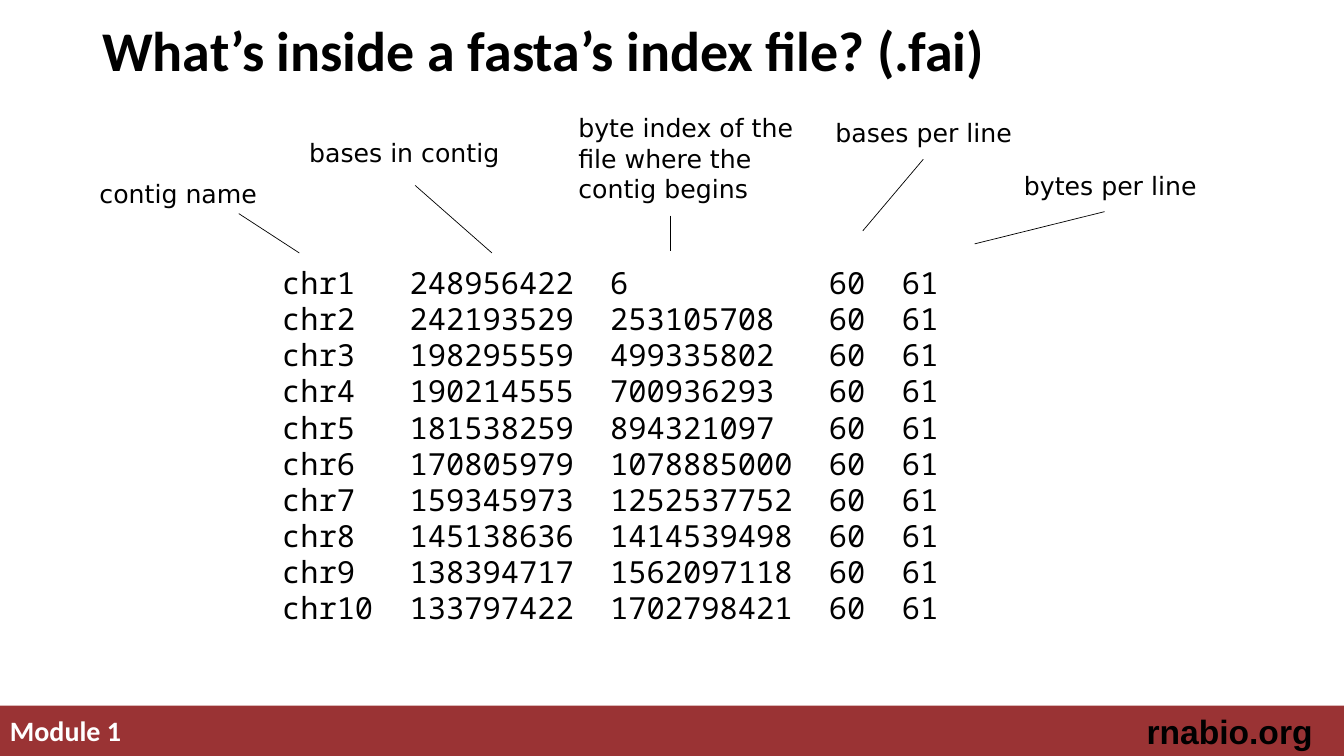
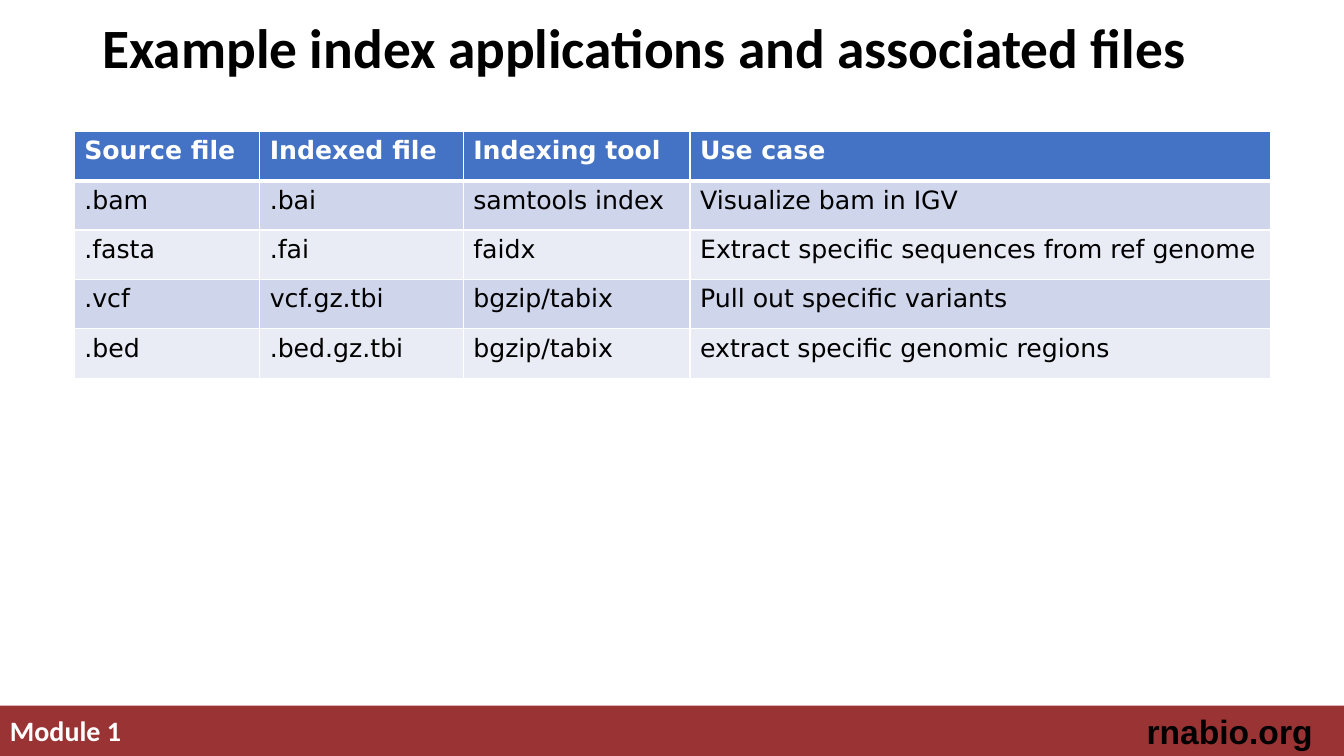
from lxml import etree
from pptx import Presentation
from pptx.dml.color import RGBColor
from pptx.enum import shapes, text
from pptx.oxml import ns
from pptx.util import Pt

# Content
HEX = {"band": "9A3334", "head": "4472C4", "odd": "CFD5EA",
       "even": "E9EBF5", "ink": "000000", "white": "FFFFFF"}
SANS, MONO, HEAD = "DejaVu Sans", "Noto Sans Mono", "Calibri"

INDEX = [
    ("chr1", 248956422, 6), ("chr2", 242193529, 253105708),
    ("chr3", 198295559, 499335802), ("chr4", 190214555, 700936293),
    ("chr5", 181538259, 894321097), ("chr6", 170805979, 1078885000),
    ("chr7", 159345973, 1252537752), ("chr8", 145138636, 1414539498),
    ("chr9", 138394717, 1562097118), ("chr10", 133797422, 1702798421),
]
BASES, BYTES = 60, 61  # same in every row
STOPS = (7, 18, 30, 34)  # column starts, in characters

# Label, box (left, top, width, height), wrap, pointer from and to
LABELS = [
    ("contig name", (64, 124, 127.5, 29), False, (170.6, 152.6), (213.8, 180.7)),
    ("bases in contig", (213.8, 94.3, 151.2, 29), False, (296.6, 132.5), (351.4, 180.7)),
    ("byte index of the file where the contig begins", (406, 77, 170, 72.7), True,
     (478.8, 154), (478.8, 179.3)),
    ("bases per line", (589.7, 80.6, 170, 29), True, (659.5, 113.8), (616.3, 164.9)),
    ("bytes per line", (724.3, 118, 170, 29), True, (789, 151.2), (696.2, 174.2)),
]

WIDTHS = (132.5, 145.4, 162, 414.7)
ROW = 35.28
FILES = [
    ("Source file", "Indexed file", "Indexing tool", "Use case"),
    (".bam", ".bai", "samtools index", "Visualize bam in IGV"),
    (".fasta", ".fai", "faidx", "Extract specific sequences from ref genome"),
    (".vcf", "vcf.gz.tbi", "bgzip/tabix", "Pull out specific variants"),
    (".bed", ".bed.gz.tbi", "bgzip/tabix", "extract specific genomic regions"),
]


# Helpers
def color(name):
    return RGBColor.from_string(HEX[name])


def write(para, words, size, face=SANS, ink="ink", bold=False):
    run = para.add_run()
    run.text = words
    font = run.font
    font.size, font.name, font.bold = Pt(size), face, bold
    font.color.rgb = color(ink)


def frame(slide, box, wrap=True):
    area = slide.shapes.add_textbox(*map(Pt, box)).text_frame
    area.word_wrap = wrap
    return area


def base(deck, title, box, size):
    """Add a slide with its title and footer band."""
    slide = deck.slides.add_slide(deck.slide_layouts[6])
    band = slide.shapes.add_shape(shapes.MSO_SHAPE.RECTANGLE, 0, Pt(504), Pt(960), Pt(36))
    band.shadow.inherit = False
    band.fill.solid()
    band.fill.fore_color.rgb = color("band")
    band.line.fill.background()
    write(frame(slide, (0, 506, 528, 31)).paragraphs[0],
          "Module 1", 20, HEAD, "white", True)
    site = frame(slide, (759, 504, 185.7, 36)).paragraphs[0]
    site.alignment = text.PP_ALIGN.RIGHT
    write(site, "rnabio.org", 24, "Arial", bold=True)
    area = frame(slide, box)
    area.vertical_anchor = text.MSO_ANCHOR.MIDDLE
    area.paragraphs[0].line_spacing = 0.9
    write(area.paragraphs[0], title, size, HEAD, bold=True)
    return slide


def pointer(slide, start, end):
    line = slide.shapes.add_connector(
        shapes.MSO_CONNECTOR.STRAIGHT, *map(Pt, start + end))
    line.line.width = Pt(0.5)
    line.line.color.rgb = color("ink")
    etree.SubElement(line._element.spPr, ns.qn("a:effectLst"))


def tabs(para, unit):
    stops = etree.SubElement(para._p.get_or_add_pPr(), ns.qn("a:tabLst"))
    for stop in STOPS:
        etree.SubElement(stops, ns.qn("a:tab"), pos=str(Pt(stop * unit)), algn="l")


def border(cell, side, width):
    line = etree.SubElement(cell._tc.get_or_add_tcPr(), ns.qn("a:ln" + side),
                            w=str(Pt(width)))
    fill = etree.SubElement(line, ns.qn("a:solidFill"))
    etree.SubElement(fill, ns.qn("a:srgbClr"), val=HEX["white"])


# Slides
def index(deck):
    slide = base(deck, "What’s inside a fasta’s index file? (.fai)",
                 (66, 8, 828, 61), 40)
    area = frame(slide, (194.4, 192.2, 513.4, 303.8))
    size = 21.7
    for num, row in enumerate(INDEX):
        para = area.add_paragraph() if num else area.paragraphs[0]
        para.line_spacing = 0.7
        if num:
            para.space_before = Pt(7.6)
        tabs(para, size * 0.6)
        write(para, "\t".join(map(str, row + (BASES, BYTES))), size, MONO)
    for words, box, wrap, start, end in LABELS:
        write(frame(slide, box, wrap).paragraphs[0], words, 18)
        pointer(slide, start, end)


def files(deck):
    slide = base(deck, "Example index applications and associated files",
                 (66, 7, 828, 58.5), 39.6)
    grid = slide.shapes.add_table(
        len(FILES), len(WIDTHS), Pt(53), Pt(93.8),
        Pt(sum(WIDTHS)), Pt(ROW * len(FILES))).table
    grid.horz_banding = False
    for col, width in zip(grid.columns, WIDTHS):
        col.width = Pt(width)
    for num, row in enumerate(FILES):
        top = num == 0
        fill = "head" if top else "odd" if num % 2 else "even"
        for pos, words in enumerate(row):
            cell = grid.cell(num, pos)
            for side in "LRTB":
                thick = (top and side == "B") or (num == 1 and side == "T")
                border(cell, side, 3 if thick else 1)
            cell.fill.solid()
            cell.fill.fore_color.rgb = color(fill)
            write(cell.text_frame.paragraphs[0], words, 18,
                  ink="white" if top else "ink", bold=top)


def main():
    deck = Presentation()
    deck.slide_width, deck.slide_height = Pt(960), Pt(540)
    index(deck)
    files(deck)
    deck.save("out.pptx")


if __name__ == "__main__":
    main()
